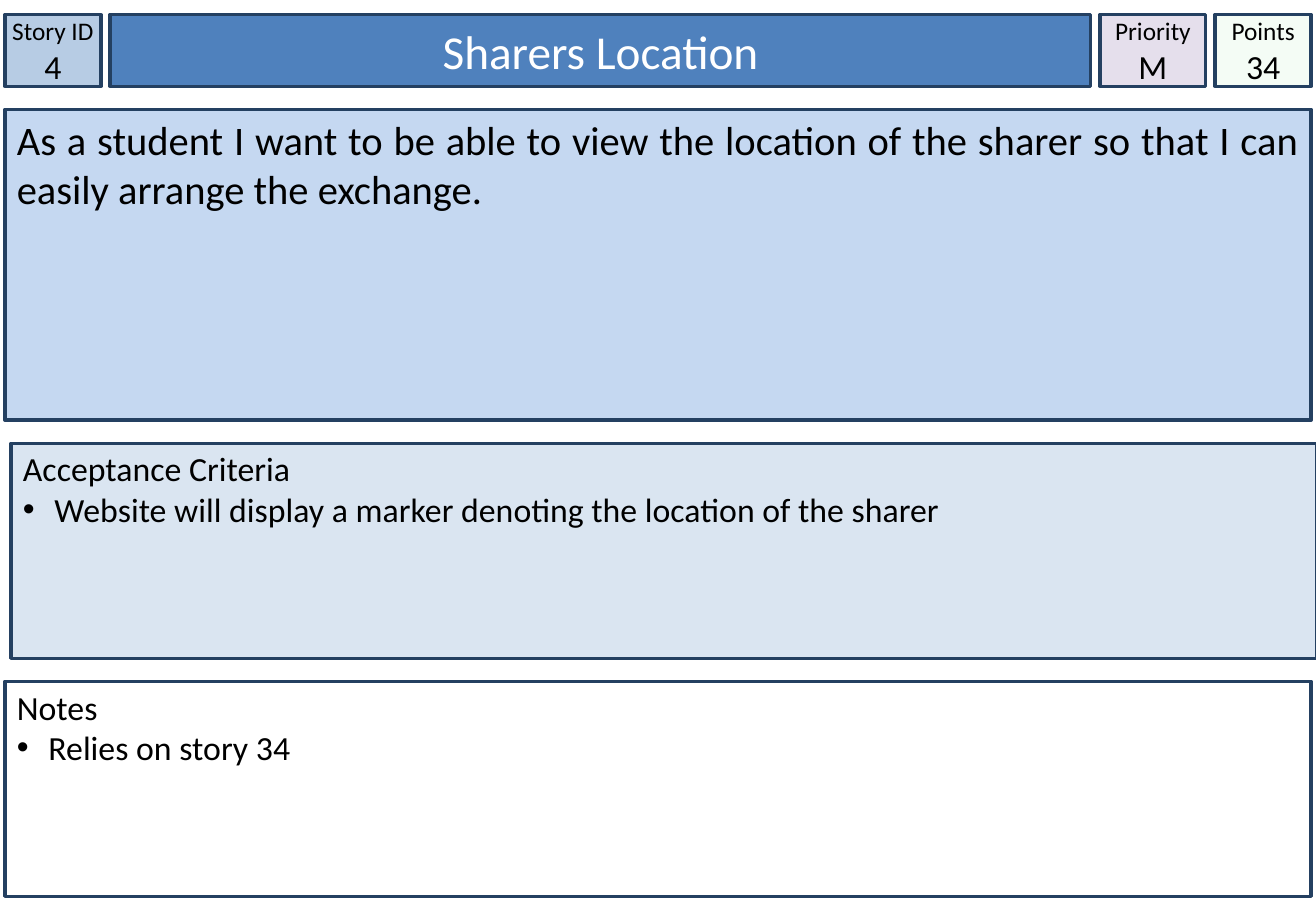
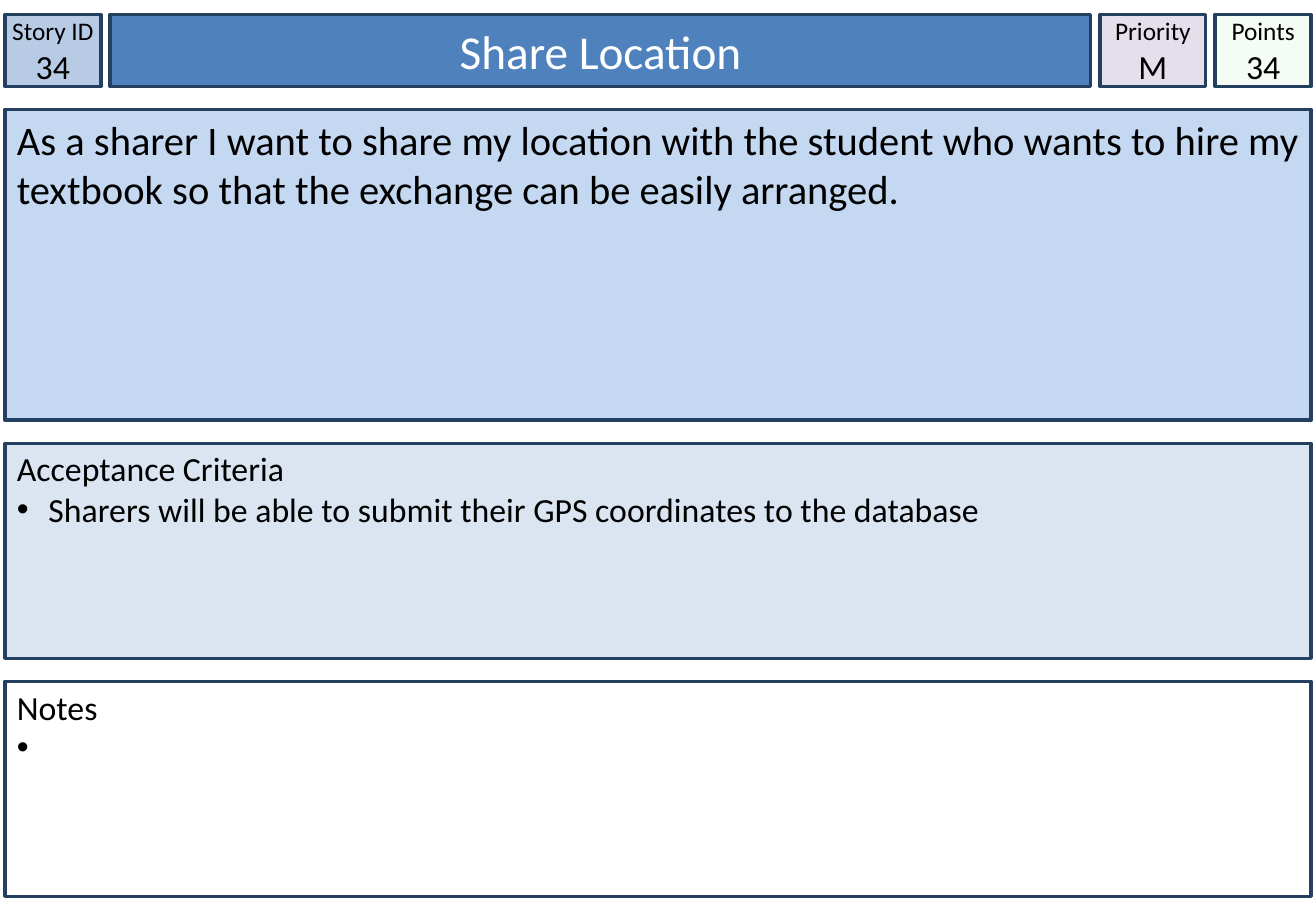
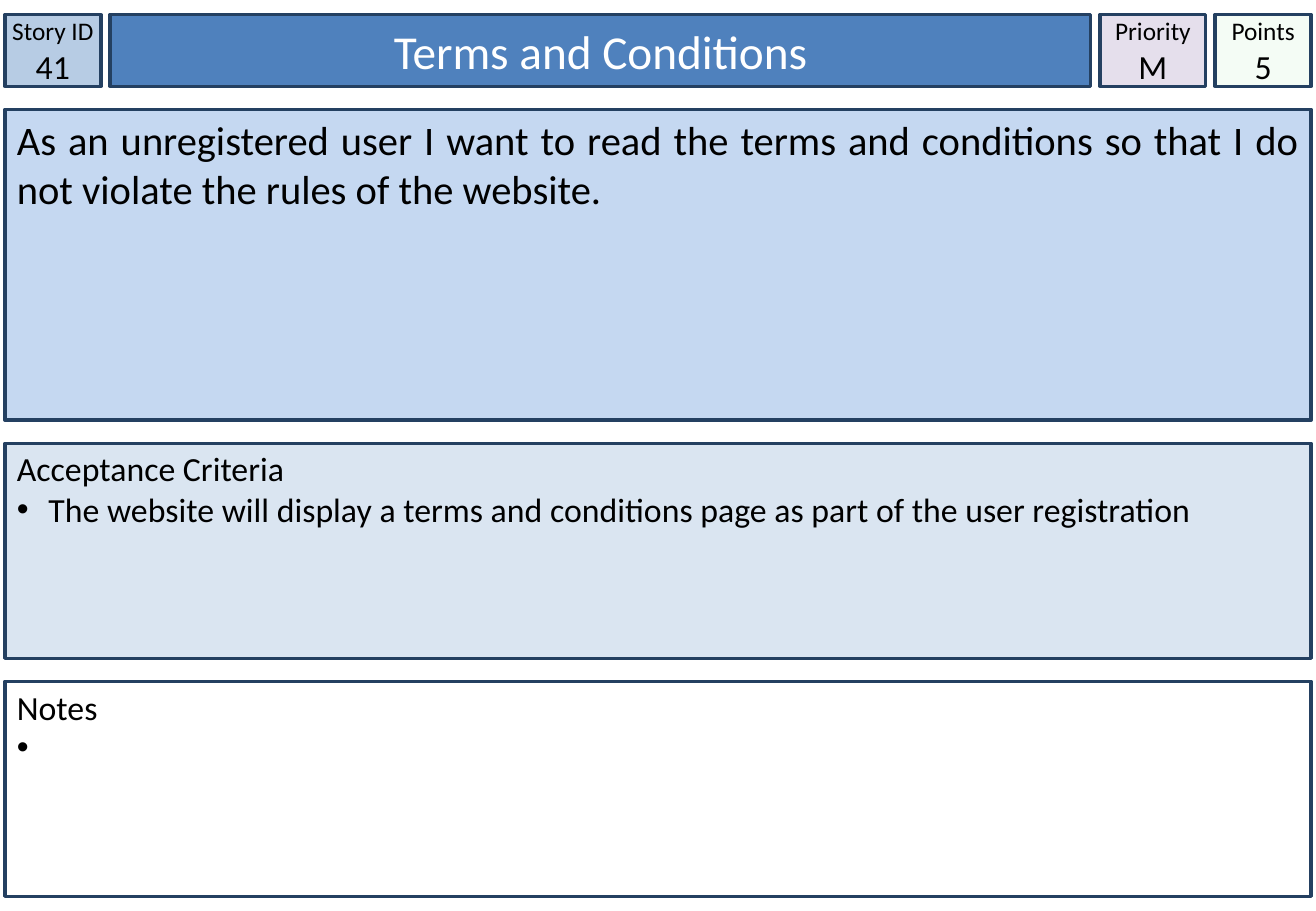
from lxml.etree import SubElement
from pptx import Presentation
from pptx.dml.color import RGBColor as Rgb
from pptx.enum.shapes import MSO_SHAPE as Shape
from pptx.enum.text import MSO_ANCHOR as Anchor, PP_ALIGN as Align
from pptx.oxml.ns import qn
from pptx.util import Inches, Pt

# Content: one story card per slide; "shift" moves the criteria box right
STORIES = [
    dict(id="4", title="Sharers Location", priority="M", points="34", shift=0.05,
         story="As a student I want to be able to view the location of the "
               "sharer so that I can easily arrange the exchange.",
         criteria="Website will display a marker denoting the location of the sharer",
         notes="Relies on story 34"),
    dict(id="34", title="Share Location", priority="M", points="34", shift=0,
         story="As a sharer I want to share my location with the student who "
               "wants to hire my textbook so that the exchange can be easily arranged.",
         criteria="Sharers will be able to submit their GPS coordinates to the database",
         notes=""),
    dict(id="41", title="Terms and Conditions", priority="M", points="5", shift=0,
         story="As an unregistered user I want to read the terms and conditions "
               "so that I do not violate the rules of the website.",
         criteria="The website will display a terms and conditions page as part "
                  "of the user registration",
         notes=""),
]

# Shared style
FONT = "Calibri"
HEX = dict(line="244061", text="000000", light="FFFFFF", id="B7CCE4",
           title="4F81BD", priority="E5DFEC", points="CCF0CD",
           story="C5D8F1", criteria="DAE5F1", notes="FFFFFF")
COLS = dict(id=0.79, title=8.07, priority=0.87, points=0.79)
ROWS = dict(head=0.59, story=2.56, criteria=1.77, notes=1.77)
LEFT, TOP, WIDE, VGAP = 0.04, 0.12, 10.75, 0.19
HGAP = (WIDE - sum(COLS.values())) / (len(COLS) - 1)
INDENT = 0.26


def spread(start, sizes, gap):
    """Start of each named part, laid end to end with equal gaps."""
    spots = {}
    for name, size in sizes.items():
        spots[name] = start
        start += size + gap
    return spots


XS = spread(LEFT, COLS, HGAP)
YS = spread(TOP, ROWS, VGAP)


def color(name):
    return Rgb.from_string(HEX[name])


def box(slide, name, x, y, w, h, alpha=None):
    shape = slide.shapes.add_shape(Shape.RECTANGLE, *map(Inches, (x, y, w, h)))
    shape.shadow.inherit = False
    shape.fill.solid()
    shape.fill.fore_color.rgb = color(name)
    if alpha:
        tint = shape.element.spPr.find(qn("a:solidFill"))[0]
        SubElement(tint, qn("a:alpha"), val=str(alpha * 1000))
    shape.line.color.rgb = color("line")
    shape.line.width = Pt(2)
    return shape


def write(shape, lines, align=Align.LEFT, anchor=Anchor.TOP, ink="text",
          side=0.1, top=0.05):
    """Fill a shape with (text, size, bulleted) lines."""
    frame = shape.text_frame
    frame.word_wrap = True
    frame.vertical_anchor = anchor
    frame.margin_left = frame.margin_right = Inches(side)
    frame.margin_top, frame.margin_bottom = Inches(top), Inches(0.05)
    for i, (text, size, dot) in enumerate(lines):
        para = frame.paragraphs[0] if i == 0 else frame.add_paragraph()
        para.alignment = align
        if dot:
            props = para._p.get_or_add_pPr()
            props.set("marL", str(Inches(INDENT)))
            props.set("indent", str(-Inches(INDENT)))
            SubElement(props, qn("a:buFont"), typeface="Arial")
            SubElement(props, qn("a:buChar"), char="•")
        run = para.add_run()
        run.text = text
        run.font.name, run.font.size = FONT, Pt(size)
        run.font.color.rgb = color(ink)


def card(slide, data):
    # Header row
    mid = dict(align=Align.CENTER, anchor=Anchor.MIDDLE)
    head = {name: box(slide, name, XS[name], TOP, COLS[name], ROWS["head"],
                      alpha=20 if name == "points" else None) for name in COLS}
    write(head["title"], [(data["title"], 28, False)], ink="light", **mid)
    for name, label in (("id", "Story ID"), ("priority", "Priority"),
                        ("points", "Points")):
        write(head[name], [(label, 15, False), (data[name], 20, False)],
              side=0, **mid)

    # Story
    story = box(slide, "story", LEFT, YS["story"], WIDE, ROWS["story"])
    write(story, [(data["story"], 24, False)], align=Align.JUSTIFY)

    # Bulleted boxes; a lone space lets an empty bullet show
    for name, label, shift in (("criteria", "Acceptance Criteria", data["shift"]),
                               ("notes", "Notes", 0)):
        part = box(slide, name, LEFT + shift, YS[name], WIDE, ROWS[name])
        write(part, [(label, 20, False), (data[name] or " ", 20, True)], top=0.04)


def main():
    deck = Presentation()
    deck.slide_width, deck.slide_height = Inches(10.83), Inches(7.5)
    for data in STORIES:
        card(deck.slides.add_slide(deck.slide_layouts[6]), data)
    deck.save("out.pptx")


if __name__ == "__main__":
    main()
